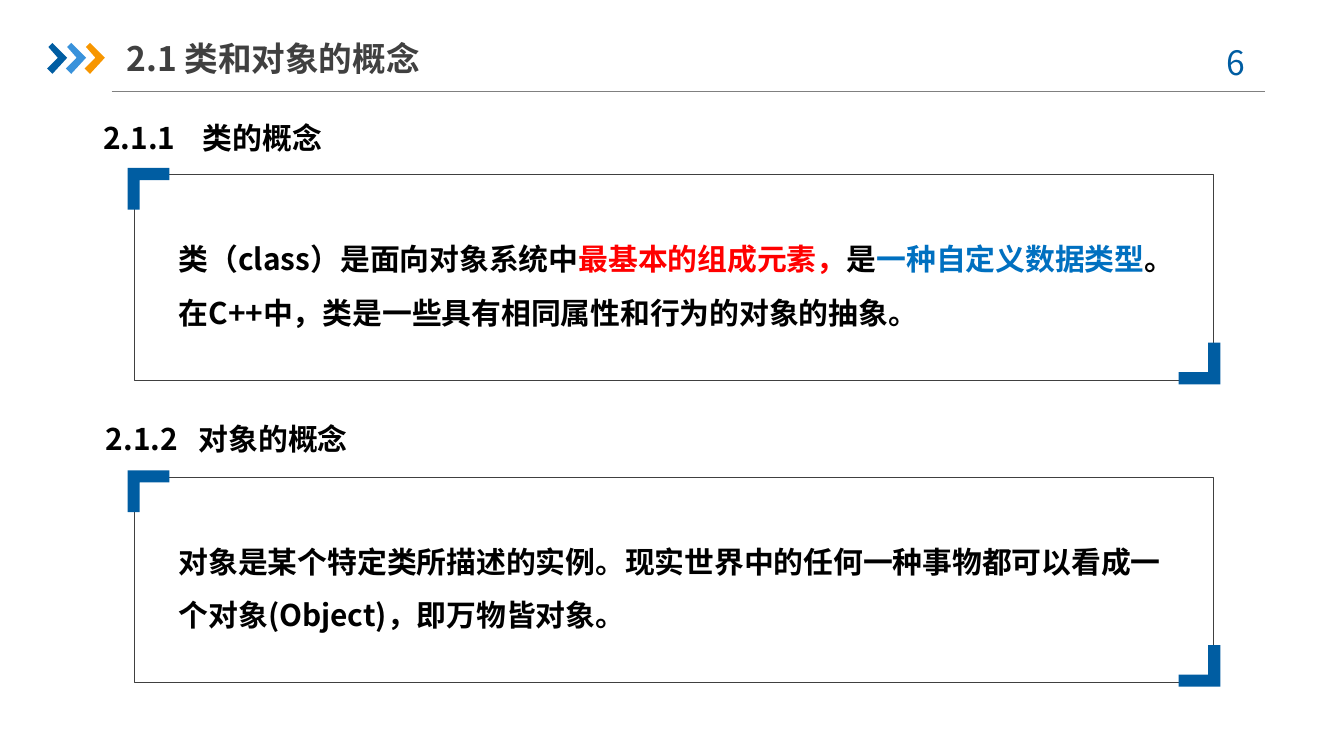
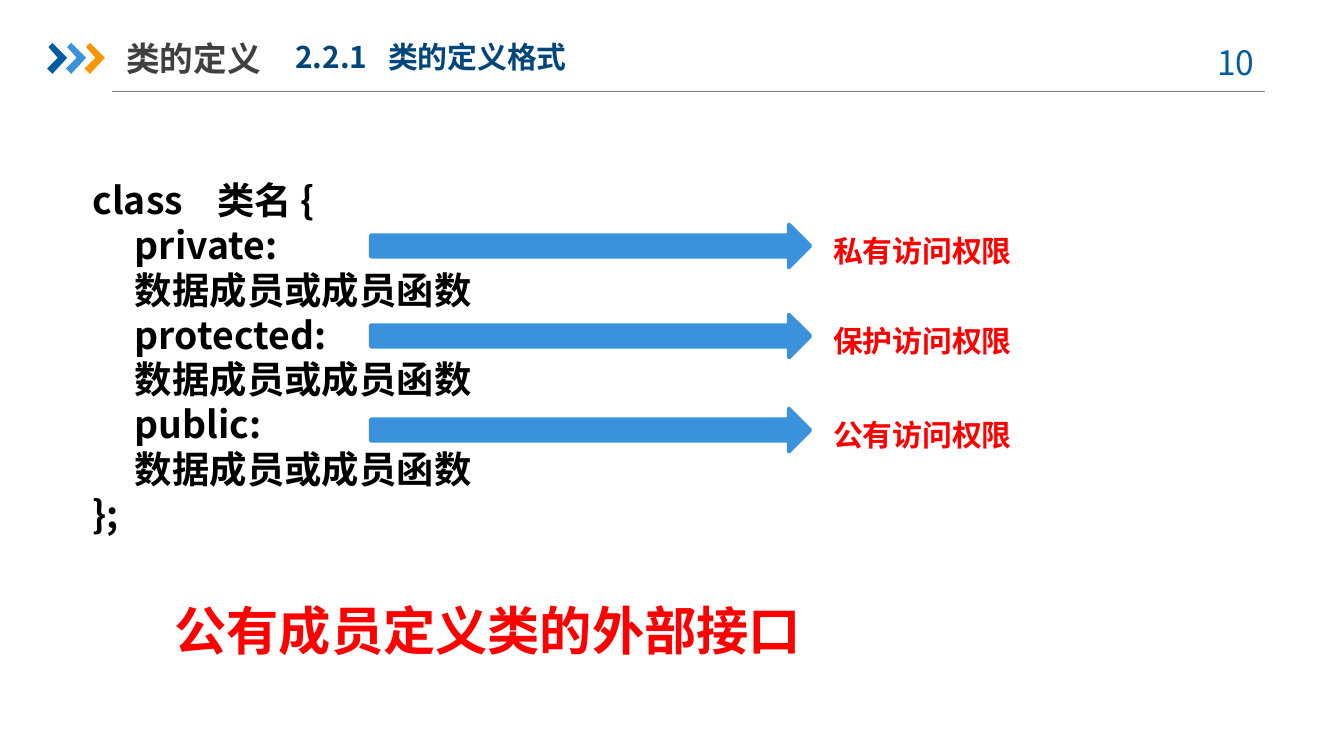
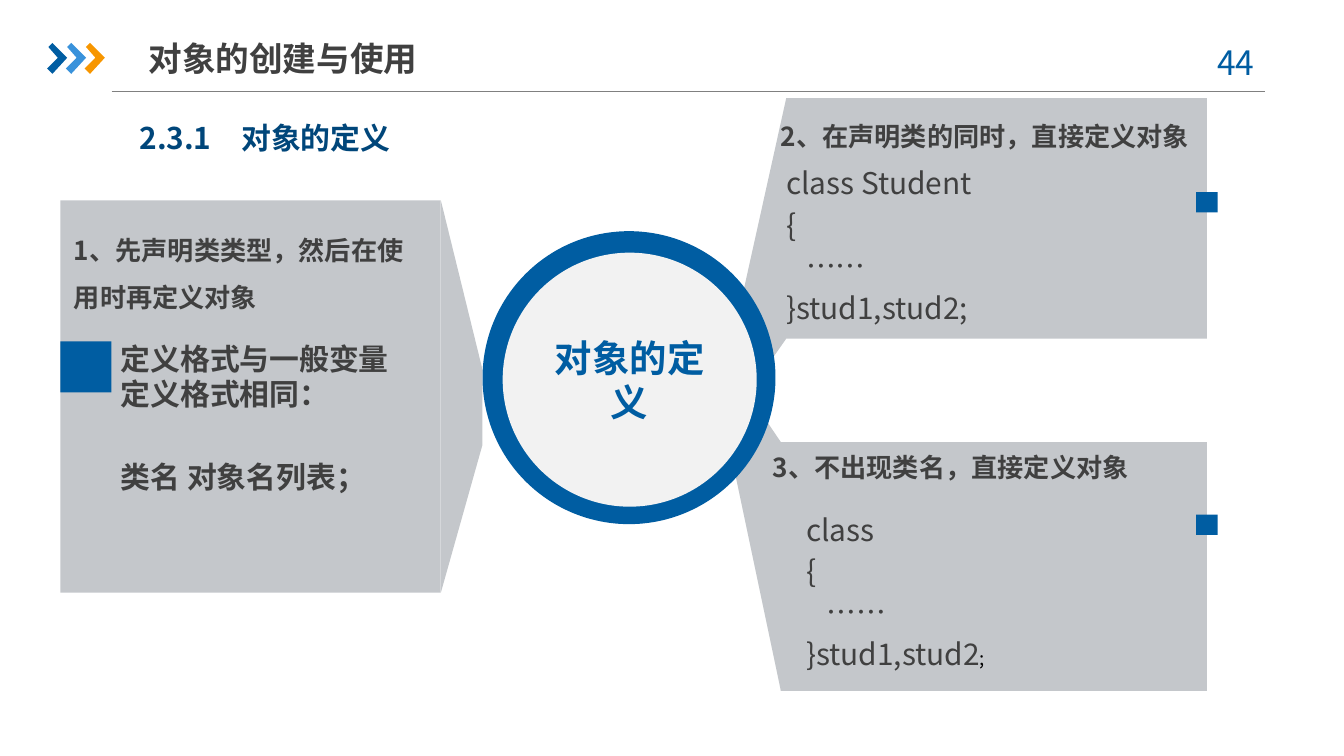
from lxml import etree
from pptx import Presentation
from pptx.dml.color import RGBColor
from pptx.enum.shapes import MSO_CONNECTOR, MSO_SHAPE
from pptx.enum.text import MSO_ANCHOR, MSO_AUTO_SIZE, PP_ALIGN
from pptx.oxml.ns import qn
from pptx.util import Pt

PX = 9144  # EMU per px, 100 px to the inch
SLIDE_WIDTH = 1000 * PX
SLIDE_HEIGHT = SLIDE_WIDTH * 9 // 16
RECT, OVAL, ARROW = MSO_SHAPE.RECTANGLE, MSO_SHAPE.OVAL, MSO_SHAPE.RIGHT_ARROW
STRAIGHT = MSO_CONNECTOR.STRAIGHT
TOP, MIDDLE = MSO_ANCHOR.TOP, MSO_ANCHOR.MIDDLE
FIT_SHAPE, FIXED = MSO_AUTO_SIZE.SHAPE_TO_FIT_TEXT, MSO_AUTO_SIZE.NONE
CENTER = PP_ALIGN.CENTER

BLUE, SKY, ORANGE, NAVY = "005DA2", "3992DB", "F79600", "00467A"
RED, BLACK, DARK, GRAY, PANEL, PALE = "FF0000", "000000", "404040", "808080", "C4C7CB", "F2F2F2"
CJK = "Noto Sans CJK SC"

TITLE = {"size": 18, "bold": True, "color": DARK}
PAGE = {"size": 18, "color": BLUE}
HEADING = {"size": 16, "bold": True, "color": BLACK}
NAVY_HEADING = {**HEADING, "color": NAVY}
ACCESS = {**HEADING, "name": "Calibri", "color": RED}
CONCLUSION = {**ACCESS, "size": 28}
CODE = {"size": 20, "bold": True, "color": BLACK}
HUB = {**CODE, "color": BLUE}
POINT = {"size": 14, "bold": True, "color": DARK}
FORMAT = {"size": 16, "bold": True, "color": DARK}
SAMPLE = {"size": 16, "color": DARK}
FIXED_BOX = {"inset": (0, 5), "fit": FIXED}


def rgb(color):
    return RGBColor.from_string(color)


def px(*lengths):
    return [length * PX for length in lengths]


def style_run(run, style):
    settings = {"name": CJK, "bold": False, **style}
    settings["size"] = Pt(settings["size"])
    run.font.color.rgb = rgb(settings.pop("color"))
    for attribute, value in settings.items():
        setattr(run.font, attribute, value)
    etree.SubElement(run._r.get_or_add_rPr(), qn("a:ea")).set("typeface", CJK)


def add_tab_stop(paragraph, position):
    tabs = etree.SubElement(paragraph._p.get_or_add_pPr(), qn("a:tabLst"))
    etree.SubElement(tabs, qn("a:tab"), pos=str(position * PX), algn="l")


def write_text(frame, paragraphs, style, align=None, anchor=TOP, inset=(10, 5),
               fit=FIT_SHAPE, line_spacing=None, before=0, tab=None):
    """Each paragraph is a string or a list of (text, style changes) runs."""
    across, down = px(*inset)
    frame_format = {
        "word_wrap": True, "auto_size": fit, "vertical_anchor": anchor,
        "margin_left": across, "margin_right": across,
        "margin_top": down, "margin_bottom": down,
    }
    for attribute, value in frame_format.items():
        setattr(frame, attribute, value)
    for index, content in enumerate(paragraphs):
        paragraph = frame.add_paragraph() if index else frame.paragraphs[0]
        if tab:
            add_tab_stop(paragraph, tab)
        paragraph.alignment = align
        paragraph.line_spacing = line_spacing
        if index and before:
            paragraph.space_before = Pt(before)
        runs = [(content, {})] if isinstance(content, str) else content
        for words, changes in runs:
            run = paragraph.add_run()
            run.text = words
            style_run(run, {**style, **changes})


def add_text(slide, box, paragraphs, style, **layout):
    write_text(slide.shapes.add_textbox(*px(*box)).text_frame, paragraphs, style, **layout)


def paint(shape, fill=None, line=None, weight=1):
    shape.shadow.inherit = False
    if fill:
        shape.fill.solid()
        shape.fill.fore_color.rgb = rgb(fill)
    else:
        shape.fill.background()
    if line:
        shape.line.color.rgb = rgb(line)
        shape.line.width = Pt(weight)
    else:
        shape.line.fill.background()


def add_preset(slide, kind, box, fill=None, line=None, weight=1):
    shape = slide.shapes.add_shape(kind, *px(*box))
    paint(shape, fill, line, weight)
    return shape


def add_outline(slide, points, fill):
    builder = slide.shapes.build_freeform(*points[0], scale=PX)
    builder.add_line_segments(points[1:], close=True)
    paint(builder.convert_to_shape(), fill)


def add_header(slide, title, page, align=None):
    rule = slide.shapes.add_connector(STRAIGHT, *px(83, 68, 941, 68))
    rule.line.color.rgb = rgb(GRAY)
    rule.line.width = Pt(0.75)
    etree.SubElement(rule._element.spPr, qn("a:effectLst"))
    chevron = [(36, 35), (39, 32), (50, 43), (39, 55), (35, 51), (43, 43)]
    for index, color in enumerate((BLUE, SKY, ORANGE)):
        add_outline(slide, [(x + 14 * index, y) for x, y in chevron], color)
    add_text(slide, (886, 26, 73, 40), [f"{page} "], PAGE, align=CENTER)
    add_text(slide, (94, 22, 233, 42), [title], TITLE, align=align, anchor=MIDDLE, **FIXED_BOX)


def add_corner(slide, x, y, direction):
    """Draw an L bracket; direction 1 opens down-right, -1 up-left."""
    bracket = [(0, 0), (31, 0), (31, 9), (9, 9), (9, 31), (0, 31)]
    add_outline(slide, [(x + direction * dx, y + direction * dy) for dx, dy in bracket], BLUE)


def add_definition(slide, top, runs):
    left, width, height = 100, 803, 153
    add_preset(slide, RECT, (left, top, width, height), line=DARK, weight=0.25)
    add_text(slide, (133, top + 36, 738, 74), [runs], HEADING, inset=(0, 0), line_spacing=1.5)
    add_corner(slide, left - 5, top - 5, 1)
    add_corner(slide, left + width + 5, top + height + 3, -1)


def add_panel(slide, box, wedge):
    add_preset(slide, RECT, box, PANEL)
    add_outline(slide, wedge, PANEL)


def build_concepts(slide):
    add_header(slide, "2.1 类和对象的概念", 6)
    add_text(slide, (67, 84, 362, 37), ["2.1.1\t类的概念"], HEADING, tab=74)
    add_definition(slide, 130, [
        ("类（class）是面向对象系统中", {}),
        ("最基本的组成元素，", {"color": RED}),
        ("是", {}),
        ("一种自定义数据类型", {"color": "0070C0"}),
        ("。在C++中，类是一些具有相同属性和行为的对象的抽象。", {}),
    ])
    add_text(slide, (69, 308, 362, 37), ["2.1.2\t对象的概念"], HEADING, tab=69)
    add_definition(slide, 355, [
        ("对象是某个特定类所描述的实例。现实世界中的任何一种事物都可以看成一个对象(Object)，即万物皆对象。", {}),
    ])


def build_class_format(slide):
    add_header(slide, "类的定义", 10)
    add_text(slide, (210, 24, 323, 37), ["2.2.1\t类的定义格式"], NAVY_HEADING, tab=69)
    members = "     数据成员或成员函数"
    add_text(slide, (59, 127, 354, 313), [
        "class\t类名 {",
        "     private:", members,
        "     protected:", members,
        "     public:", members,
        "};",
    ], CODE, tab=93)
    for top, access in ((167, "私有访问权限"), (234, "保护访问权限"), (304, "公有访问权限")):
        add_preset(slide, ARROW, (276, top, 327, 32), SKY, SKY, 2)
        add_text(slide, (610, top + 1, 323, 37), [access], ACCESS)
    add_text(slide, (120, 440, 638, 57), ["公有成员定义类的外部接口"], CONCLUSION)


def build_object_definition(slide):
    add_panel(slide, (45, 149, 283, 292), [(328, 149), (359, 275), (359, 331), (328, 441)])
    add_panel(slide, (585, 73, 313, 179), [(585, 73), (536, 294), (543, 312), (585, 252)])
    add_panel(slide, (581, 329, 317, 185), [(581, 514), (533, 286), (539, 267), (581, 329)])
    for marker in ((45, 254, 38, 38), (890, 143, 16, 15), (890, 383, 16, 15)):
        add_preset(slide, RECT, marker, BLUE)
    add_header(slide, "对象的创建与使用", 44, CENTER)

    add_text(slide, (55, 158, 263, 91), ["1、先声明类类型，然后在使用时再定义对象"],
             POINT, line_spacing=1.5, **FIXED_BOX)
    add_text(slide, (581, 78, 317, 65), ["2、在声明类的同时，直接定义对象"],
             POINT, line_spacing=1.3, **FIXED_BOX)
    add_text(slide, (575, 331, 293, 46), ["3、不出现类名，直接定义对象"], POINT, **FIXED_BOX)
    add_text(slide, (90, 244, 221, 133), ["定义格式与一般变量定义格式相同：", "类名 对象名列表；"],
             FORMAT, anchor=MIDDLE, before=25, **FIXED_BOX)
    body = ["{", "   ……"]
    add_text(slide, (585, 121, 283, 123), ["class Student", *body, "}stud1,stud2;"],
             SAMPLE, anchor=MIDDLE, before=3, **FIXED_BOX)
    closing = [("}stud1,stud2", {}), (";", {"size": 10, "color": BLACK})]
    add_text(slide, (600, 370, 284, 140), ["class", *body, closing],
             SAMPLE, anchor=MIDDLE, before=3, **FIXED_BOX)

    add_preset(slide, OVAL, (359, 172, 218, 218), BLUE)
    hub = add_preset(slide, OVAL, (374, 188, 189, 189), PALE)
    write_text(hub.text_frame, ["对象的定义"], HUB, align=CENTER, anchor=MIDDLE, fit=FIXED)
    add_text(slide, (94, 84, 320, 37), ["2.3.1　对象的定义"], NAVY_HEADING)


def main():
    deck = Presentation()
    deck.slide_width, deck.slide_height = SLIDE_WIDTH, SLIDE_HEIGHT
    blank = deck.slide_layouts[6]
    for build in (build_concepts, build_class_format, build_object_definition):
        build(deck.slides.add_slide(blank))
    deck.save("out.pptx")


if __name__ == "__main__":
    main()
